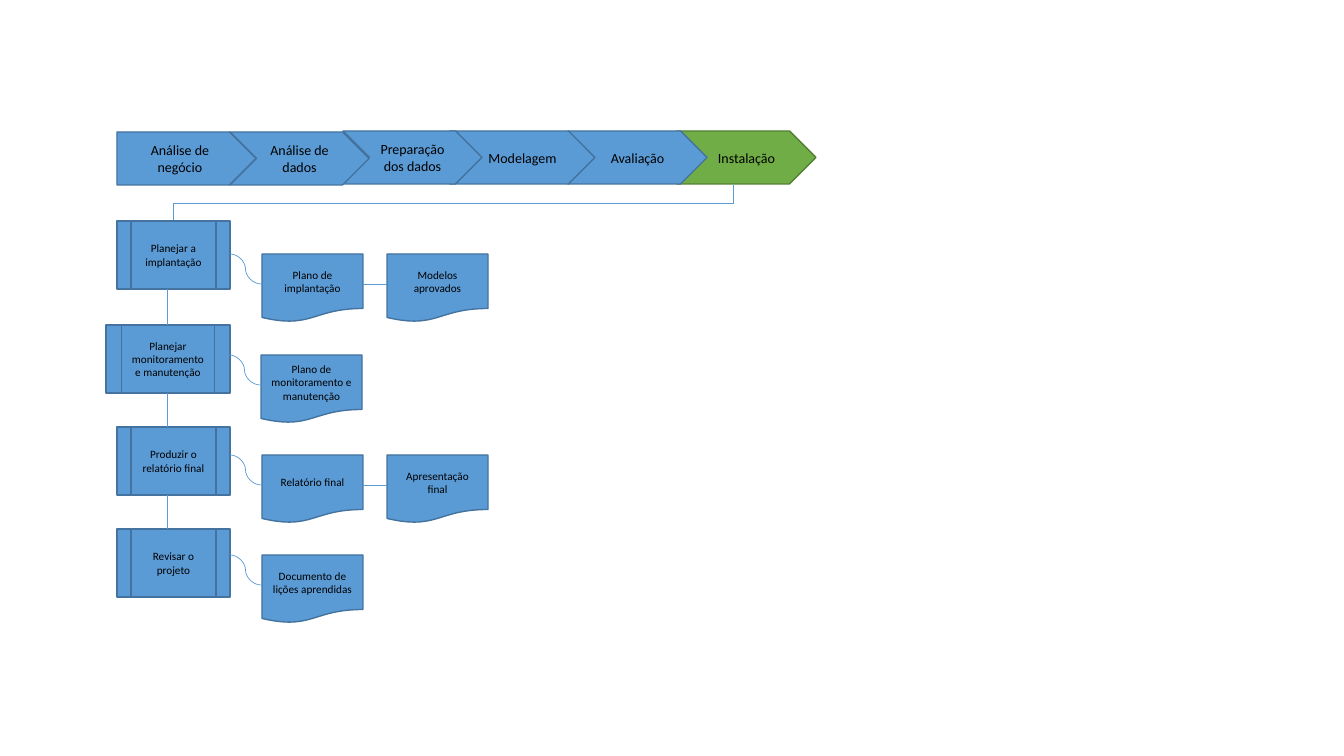
from typing import NamedTuple

from lxml import etree
from pptx import Presentation
from pptx.dml.color import RGBColor
from pptx.enum.shapes import MSO_CONNECTOR, MSO_SHAPE
from pptx.enum.text import MSO_ANCHOR, PP_ALIGN
from pptx.oxml.ns import qn
from pptx.util import Pt

PENTAGON, CHEVRON = MSO_SHAPE.PENTAGON, MSO_SHAPE.CHEVRON
PROCESS = MSO_SHAPE.FLOWCHART_PREDEFINED_PROCESS
DOCUMENT = MSO_SHAPE.FLOWCHART_DOCUMENT
STRAIGHT, ELBOW, CURVE = MSO_CONNECTOR.STRAIGHT, MSO_CONNECTOR.ELBOW, MSO_CONNECTOR.CURVE
MIDDLE, CENTER = MSO_ANCHOR.MIDDLE, PP_ALIGN.CENTER

EMU_PER_PX = 914400 / 100.8
FONT = "Calibri"
COLORS = {"blue": "5B9BD5", "blue_edge": "43739E",
          "green": "70AD47", "green_edge": "538035", "text": "000000"}

STAGE_H, BOX_H = 53, 68
PROCESS_RIGHT, DOC_W, DOC_STEP = 230, 101, 125
LINK_X, LINK_DROP = 167, 30


class Stage(NamedTuple):
    """One arrow of the phase band."""
    text: str
    left: int
    top: int
    width: int = 139
    kind: int = CHEVRON
    color: str = "blue"


class Task(NamedTuple):
    """One task of the last phase, with the documents it yields."""
    text: str
    top: int
    doc_top: int
    docs: tuple[str, ...]
    width: int = 113
    doc_left: int = 262


STAGES = [
    Stage("Análise de negócio", 117, 132, kind=PENTAGON),
    Stage("Instalação", 677, 131, color="green"),
    Stage("Avaliação", 568, 131),
    Stage("Modelagem", 450, 131, width=145),
    Stage("Preparação dos dados", 343, 131),
    Stage("Análise de dados", 230, 132),
]
TASKS = [
    Task("Planejar a implantação", 221, 254, ("Plano de implantação", "Modelos aprovados")),
    Task("Planejar monitoramento e manutenção", 325, 355,
         ("Plano de monitoramento e manutenção",), width=124, doc_left=261),
    Task("Produzir o relatório final", 427, 455, ("Relatório final", "Apresentação final")),
    Task("Revisar o projeto", 529, 555, ("Documento de lições aprendidas",)),
]


def px(value: float) -> int:
    """Turn pixels into EMU."""
    return round(value * EMU_PER_PX)


def rgb(name: str) -> RGBColor:
    """Look up a colour by name."""
    return RGBColor.from_string(COLORS[name])


def add_box(kind: int, left: int, top: int, width: int, height: int,
            text: str, size: int, color: str = "blue") -> None:
    """Draw a filled preset shape with centred text."""
    s = shapes.add_shape(kind, px(left), px(top), px(width), px(height))
    s.shadow.inherit = False
    s.fill.solid()
    s.fill.fore_color.rgb = rgb(color)
    s.line.color.rgb = rgb(color + "_edge")
    s.line.width = Pt(1)
    tf = s.text_frame
    tf.word_wrap = True
    tf.vertical_anchor = MIDDLE
    p = tf.paragraphs[0]
    p.text = text
    p.alignment = CENTER
    p.font.name, p.font.size = FONT, Pt(size)
    p.font.color.rgb = rgb("text")


def add_link(kind: int, x1: int, y1: int, x2: int, y2: int, quarter_turn: bool = False) -> None:
    """Draw a thin connector, turned by 90 degrees if asked."""
    if quarter_turn:
        cx, cy = (x1 + x2) / 2, (y1 + y2) / 2
        half_w, half_h = abs(y2 - y1) / 2, abs(x2 - x1) / 2
        x1, y1, x2, y2 = cx - half_w, cy - half_h, cx + half_w, cy + half_h
    s = shapes.add_connector(kind, px(x1), px(y1), px(x2), px(y2))
    s.line.color.rgb = rgb("blue")
    s.line.width = Pt(0.5)
    sp_pr = s._element.spPr
    etree.SubElement(sp_pr, qn("a:effectLst"))
    if quarter_turn:
        sp_pr.find(qn("a:xfrm")).set("rot", "5400000")


def add_task(task: Task) -> None:
    """Draw a task with its row of linked documents."""
    add_box(PROCESS, PROCESS_RIGHT - task.width, task.top, task.width, BOX_H, task.text, 8)
    link_y = task.doc_top + LINK_DROP
    add_link(CURVE, task.doc_left - 32, task.doc_top, task.doc_left - 1, link_y)
    for i, text in enumerate(task.docs):
        left = task.doc_left + i * DOC_STEP
        add_box(DOCUMENT, left, task.doc_top, DOC_W, BOX_H, text, 8)
        if i:
            add_link(STRAIGHT, left - DOC_STEP + DOC_W, link_y, left, link_y)


prs = Presentation()
prs.slide_width, prs.slide_height = px(1344), px(756)
shapes = prs.slides.add_slide(prs.slide_layouts[6]).shapes

for stage in STAGES:
    add_box(stage.kind, stage.left, stage.top, stage.width, STAGE_H,
            stage.text, 10, stage.color)
add_link(ELBOW, 733, 185, 173, 221, quarter_turn=True)
for task in TASKS:
    add_task(task)
for upper, lower in zip(TASKS, TASKS[1:]):
    add_link(STRAIGHT, LINK_X, upper.top + BOX_H, LINK_X, lower.top)

prs.save("out.pptx")
